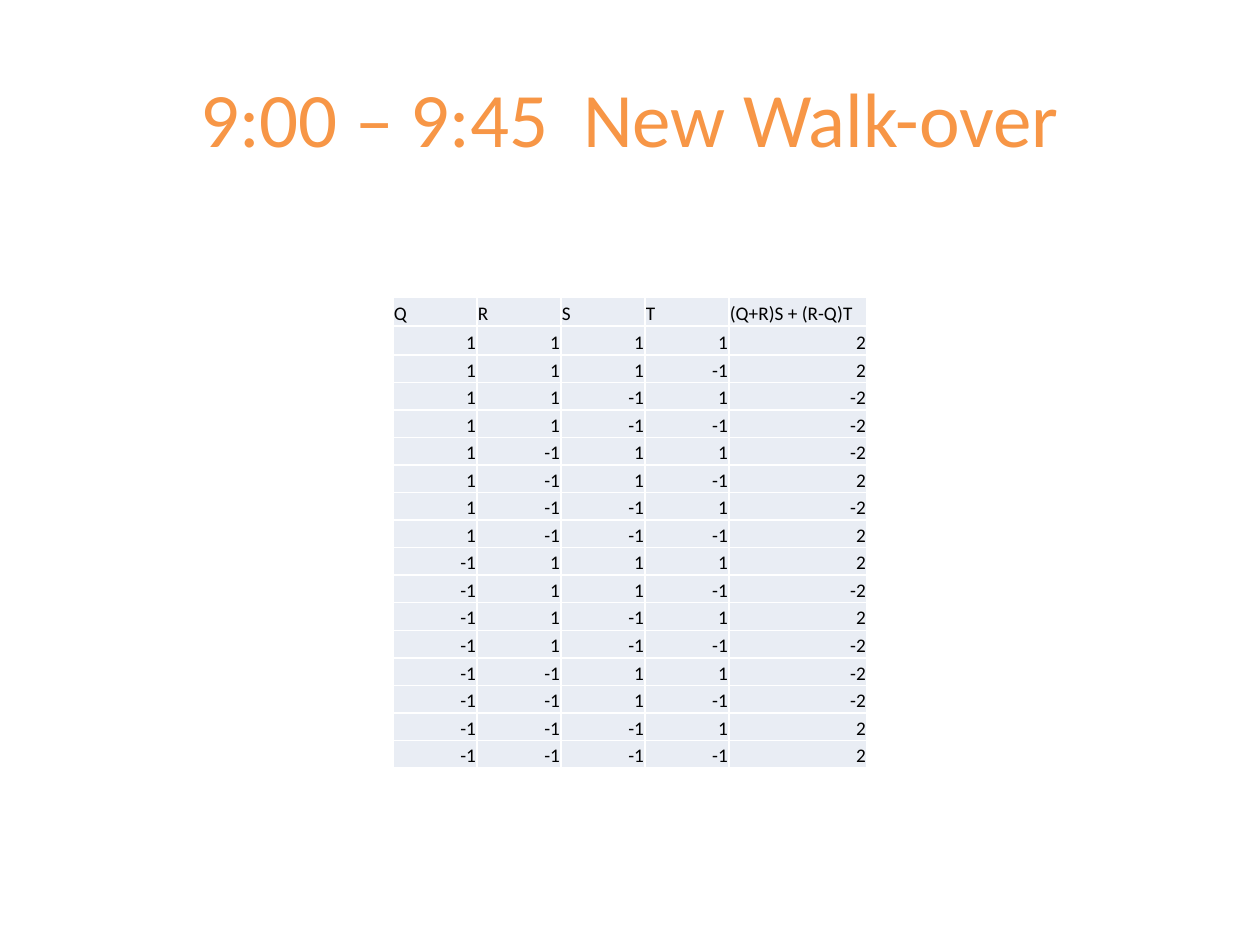
import itertools
import lxml.etree
import pptx
import pptx.dml.color
import pptx.enum.text
import pptx.oxml.ns
import pptx.util


class Theme:
    font = "Calibri"
    title = "F79646"
    text = "000000"
    cell = "E9EDF4"
    rule = "FFFFFF"
    title_size = 44
    cell_size = 11
    rule_size = 1


class Deck:
    scale = 914400 / 126

    def __init__(self, theme, width, height):
        self.theme = theme
        self.prs = pptx.Presentation()
        self.prs.slide_width = self.px(width)
        self.prs.slide_height = self.px(height)
        self.slide = self.prs.slides.add_slide(self.prs.slide_layouts[5])

    def px(self, count):
        return pptx.util.Emu(round(count * self.scale))

    def style(self, para, size, color, align):
        para.alignment = align
        for run in para.runs:
            run.font.name = self.theme.font
            run.font.size = pptx.util.Pt(size)
            run.font.bold = False
            run.font.color.rgb = pptx.dml.color.RGBColor.from_string(color)

    def title(self, text, left, top, width, height):
        shape = self.slide.shapes.title
        shape.left, shape.top = self.px(left), self.px(top)
        shape.width, shape.height = self.px(width), self.px(height)
        frame = shape.text_frame
        frame.text = text
        frame.vertical_anchor = pptx.enum.text.MSO_ANCHOR.MIDDLE
        self.style(frame.paragraphs[0], self.theme.title_size,
                   self.theme.title, pptx.enum.text.PP_ALIGN.CENTER)

    def border(self, cell):
        props = cell._tc.get_or_add_tcPr()
        qn = pptx.oxml.ns.qn
        for spot, side in enumerate(("lnL", "lnR", "lnT", "lnB")):
            line = lxml.etree.Element(qn("a:" + side))
            line.set("w", str(pptx.util.Pt(self.theme.rule_size)))
            fill = lxml.etree.SubElement(line, qn("a:solidFill"))
            color = lxml.etree.SubElement(fill, qn("a:srgbClr"))
            color.set("val", self.theme.rule)
            props.insert(spot, line)

    def cell(self, cell, text, align):
        cell.text_frame.text = text
        cell.vertical_anchor = pptx.enum.text.MSO_ANCHOR.BOTTOM
        cell.margin_left = cell.margin_right = cell.margin_top = self.px(1)
        cell.margin_bottom = 0
        cell.fill.solid()
        cell.fill.fore_color.rgb = pptx.dml.color.RGBColor.from_string(self.theme.cell)
        self.style(cell.text_frame.paragraphs[0], self.theme.cell_size,
                   self.theme.text, align)
        self.border(cell)

    def table(self, rows, left, top, widths, heights):
        shape = self.slide.shapes.add_table(
            len(rows), len(widths), self.px(left), self.px(top),
            self.px(sum(widths)), self.px(sum(heights)))
        grid = shape.table
        grid.first_row = grid.horz_banding = False
        for col, width in zip(grid.columns, widths):
            col.width = self.px(width)
        for row, height in zip(grid.rows, heights):
            row.height = self.px(height)
        aligns = pptx.enum.text.PP_ALIGN
        for r, row in enumerate(rows):
            for c, value in enumerate(row):
                self.cell(grid.cell(r, c), str(value),
                          aligns.RIGHT if r else aligns.LEFT)

    def save(self):
        self.prs.save("out.pptx")


deck = Deck(Theme(), 1260, 945)

# Title
deck.title("9:00 – 9:45  New Walk-over", 63, 38, 1134, 157)

# All sign choices, with the sum worked out for each
rows = [("Q", "R", "S", "T", "(Q+R)S + (R-Q)T")]
for q, r, s, t in itertools.product((1, -1), repeat=4):
    rows.append((q, r, s, t, (q + r) * s + (r - q) * t))

# Two taller rows on top, the other fifteen share the rest
heights = [29] * 2 + [413 / 15] * 15
deck.table(rows, 393, 297, [84] * 4 + [138], heights)

deck.save()
